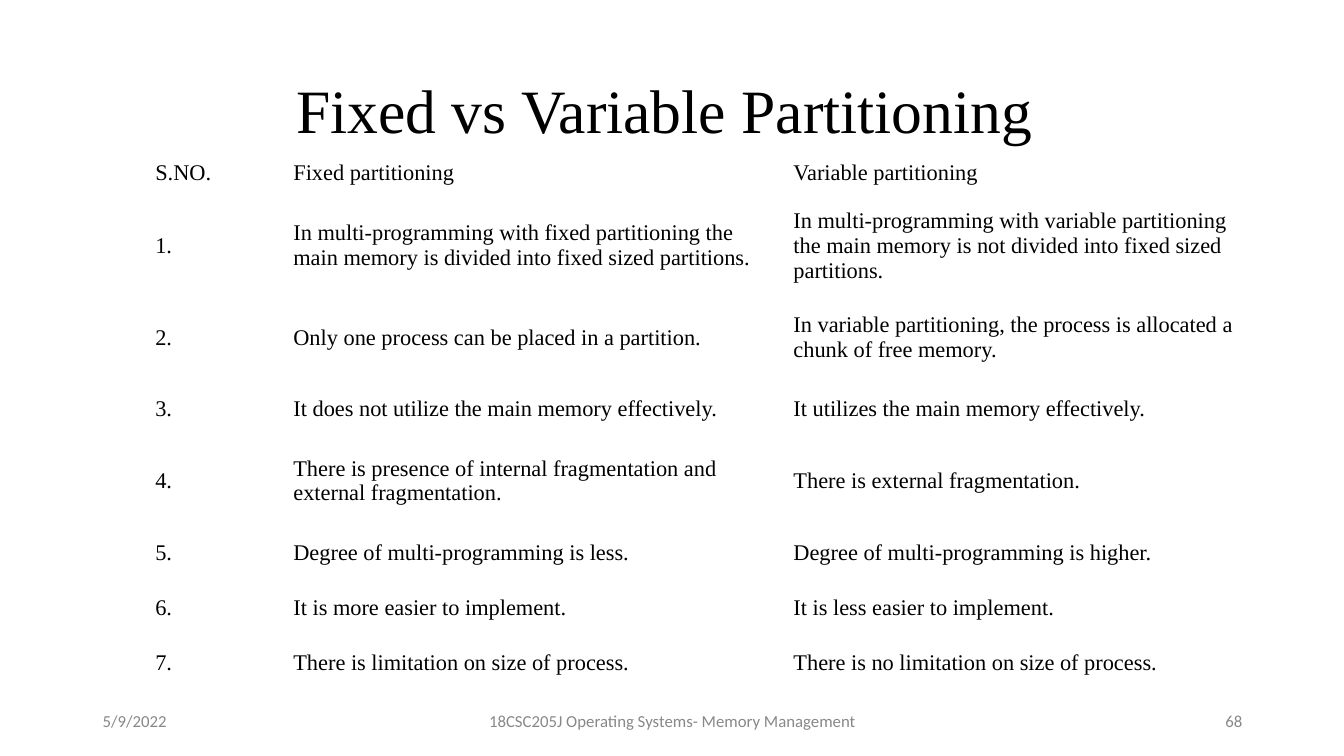
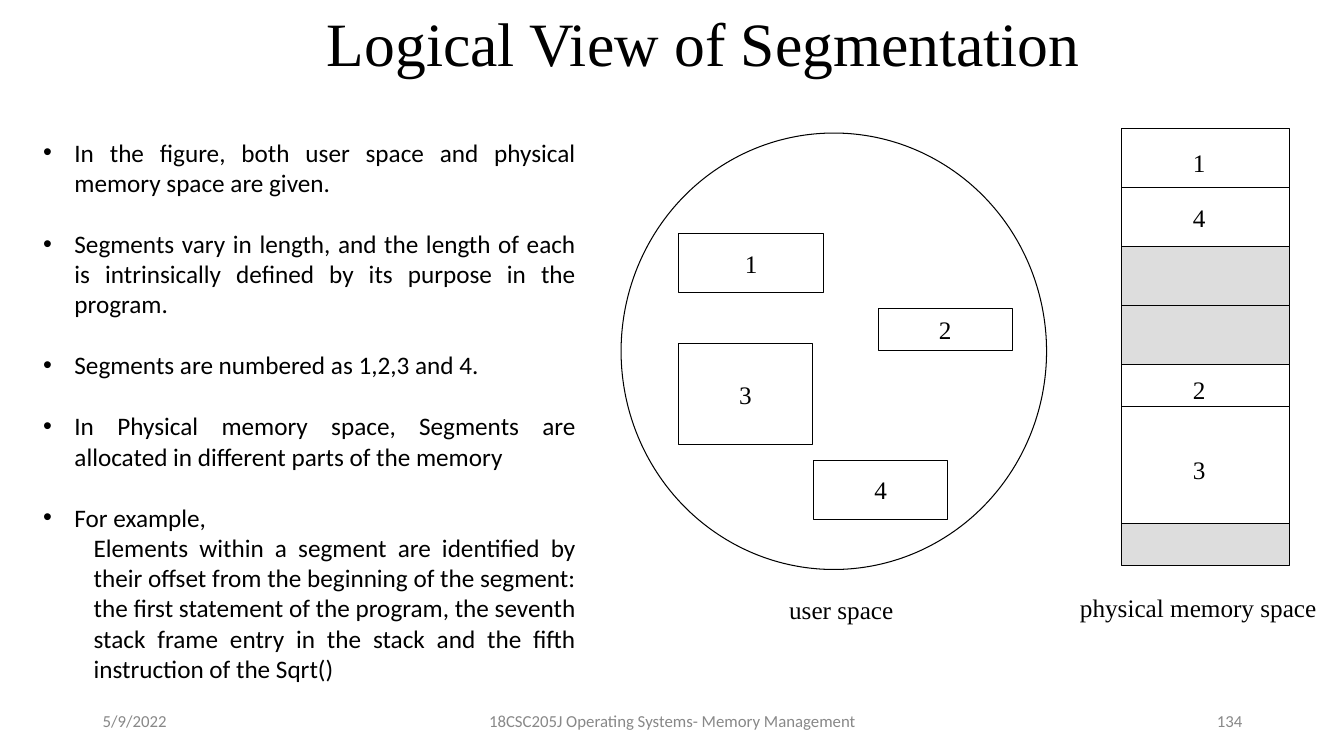
from lxml import etree
from pptx import Presentation
from pptx.dml.color import RGBColor
from pptx.enum.shapes import MSO_SHAPE
from pptx.enum.text import MSO_ANCHOR, PP_ALIGN
from pptx.oxml.ns import qn
from pptx.util import Inches, Pt

BLACK = RGBColor(0x00, 0x00, 0x00)
WHITE = RGBColor(0xFF, 0xFF, 0xFF)
FREE = RGBColor(0xDD, 0xDD, 0xDD)
GRAY = RGBColor(0x88, 0x88, 0x88)
SERIF, SANS = "Times New Roman", "Calibri"

DATE = "5/9/2022"
COURSE = "18CSC205J Operating Systems- Memory Management"
FOOTER_TOP, FOOTER_HEIGHT = 6.95, 0.4

COMPARISON = [
    ("S.NO.", "Fixed partitioning", "Variable partitioning"),
    ("1.", "In multi-programming with fixed partitioning the main memory is divided into fixed sized partitions.",
     "In multi-programming with variable partitioning the main memory is not divided into fixed sized partitions."),
    ("2.", "Only one process can be placed in a partition.",
     "In variable partitioning, the process is allocated a chunk of free memory."),
    ("3.", "It does not utilize the main memory effectively.", "It utilizes the main memory effectively."),
    ("4.", "There is presence of internal fragmentation and external fragmentation.",
     "There is external fragmentation."),
    ("5.", "Degree of multi-programming is less.", "Degree of multi-programming is higher."),
    ("6.", "It is more easier to implement.", "It is less easier to implement."),
    ("7.", "There is limitation on size of process.", "There is no limitation on size of process."),
]
COLUMN_WIDTHS = (1.37, 4.96, 4.67)
ROW_HEIGHTS = (0.36, 1, 0.81, 0.61, 0.81, 0.61, 0.47, 0.61)

BULLETS = [
    "In the figure, both user space and physical memory space are given.",
    "Segments vary in length, and the length of each is intrinsically defined by its purpose in the program.",
    "Segments are numbered as 1,2,3 and 4.",
    "In Physical memory space, Segments are allocated in different parts of the memory",
    "For example, ",
]
EXAMPLE = ("Elements within a segment are identified by their offset from the beginning of the segment: "
           "the first statement of the program, the seventh stack frame entry in the stack and the fifth "
           "instruction of the Sqrt()")

USER_SPACE = (6.16, 1.32, 4.22, 4.33)
SEGMENTS = {
    "1": (6.73, 2.32, 1.44, 0.58),
    "3": (6.73, 3.41, 1.33, 1),
    "2": (8.71, 3.06, 1.33, 0.42),
    "4": (8.07, 4.57, 1.33, 0.58),
}
MEMORY_LEFT, MEMORY_TOP, MEMORY_WIDTH = 11.12, 1.28, 1.67
MEMORY_UNIT = 1 / 12
MEMORY_BLOCKS = [("1", 7, 0.08), ("4", 7, 0), ("", 7, 0), ("", 7, 0),
                 ("2", 5, 0.08), ("3", 14, 0.08), ("", 5, 0)]
CAPTIONS = {
    "user space ": (7.72, 5.85, 1.31, 0.4),
    "physical memory space": (10.6, 5.83, 2.57, 0.4),
}


def style(p, size, name, color=BLACK, align=PP_ALIGN.LEFT):
    p.alignment = align
    for r in p.runs:
        r.font.size, r.font.name = Pt(size), name
        r.font.color.rgb = color


def add_text(s, text, box, size, name, color=BLACK, align=PP_ALIGN.CENTER, wrap=True):
    tf = s.shapes.add_textbox(*map(Inches, box)).text_frame
    tf.word_wrap = wrap
    tf.vertical_anchor = MSO_ANCHOR.MIDDLE
    tf.text = text
    style(tf.paragraphs[0], size, name, color, align)
    return tf


def add_outline(s, kind, box, fill=WHITE, label=""):
    sp = s.shapes.add_shape(kind, *map(Inches, box))
    sp.shadow.inherit = False
    sp.fill.solid()
    sp.fill.fore_color.rgb = fill
    sp.line.color.rgb = BLACK
    sp.line.width = Pt(0.75)
    tf = sp.text_frame
    tf.vertical_anchor = MSO_ANCHOR.MIDDLE
    if label:
        tf.text = label
        style(tf.paragraphs[0], 18, SERIF, align=PP_ALIGN.CENTER)
    return tf


def add_slide(prs, title, title_box, number):
    s = prs.slides.add_slide(prs.slide_layouts[6])
    add_text(s, title, title_box, 44, SERIF).paragraphs[0].line_spacing = 0.9
    for text, left, width, align in ((DATE, 0.92, 3, PP_ALIGN.LEFT),
                                     (COURSE, 4.42, 4.5, PP_ALIGN.CENTER),
                                     (number, 9.42, 3, PP_ALIGN.RIGHT)):
        add_text(s, text, (left, FOOTER_TOP, width, FOOTER_HEIGHT), 12, SANS, GRAY, align)
    return s


def add_comparison(s):
    box = (1.44, 1.5, sum(COLUMN_WIDTHS), sum(ROW_HEIGHTS))
    table = s.shapes.add_table(len(COMPARISON), len(COLUMN_WIDTHS), *map(Inches, box)).table
    table.first_row = table.horz_banding = False
    for column, width in zip(table.columns, COLUMN_WIDTHS):
        column.width = Inches(width)
    for i, (row, height, texts) in enumerate(zip(table.rows, ROW_HEIGHTS, COMPARISON)):
        row.height = Inches(height)
        for cell, text in zip(row.cells, texts):
            cell.fill.solid()
            cell.fill.fore_color.rgb = WHITE
            cell.vertical_anchor = MSO_ANCHOR.MIDDLE
            cell.margin_top = cell.margin_bottom = Inches(0.11 if i else 0.08)
            cell.text = text
            style(cell.text_frame.paragraphs[0], 16, SERIF)


def indent(p, left, first, bullet=None):
    pPr = p._p.get_or_add_pPr()
    pPr.set("marL", str(Inches(left)))
    pPr.set("indent", str(Inches(first)))
    if bullet:
        etree.SubElement(pPr, qn("a:buFont")).set("typeface", "Arial")
        etree.SubElement(pPr, qn("a:buChar")).set("char", bullet)


def add_bullets(s):
    tf = s.shapes.add_textbox(*map(Inches, (0.33, 1.31, 5.48, 5.56))).text_frame
    tf.word_wrap = True
    for i, text in enumerate(BULLETS + [EXAMPLE]):
        p = tf.add_paragraph() if i else tf.paragraphs[0]
        p.text = text
        if text == EXAMPLE:
            p.level = 1
            indent(p, 0.5, 0)
        else:
            indent(p, 0.31, -0.31, "•")
            if i:
                p.space_before = Pt(22)
        style(p, 18, SANS, align=PP_ALIGN.JUSTIFY)


def add_memory(s):
    top = MEMORY_TOP
    for label, units, drop in MEMORY_BLOCKS:
        height = units * MEMORY_UNIT
        tf = add_outline(s, MSO_SHAPE.RECTANGLE, (MEMORY_LEFT, top, MEMORY_WIDTH, height),
                         WHITE if label else FREE, label)
        tf.margin_top, tf.margin_bottom = Inches(drop), 0
        tf.margin_right = Inches(0.22)
        top += height


def main():
    prs = Presentation()
    prs.slide_width, prs.slide_height = Inches(13.33), Inches(7.5)

    s = add_slide(prs, "Fixed vs Variable Partitioning ", (0.92, 0.4, 11.5, 1.45), "68")
    add_comparison(s)

    s = add_slide(prs, "Logical View of Segmentation", (1.29, 0.15, 11.38, 0.63), "134")
    add_outline(s, MSO_SHAPE.OVAL, USER_SPACE)
    for label, box in SEGMENTS.items():
        add_outline(s, MSO_SHAPE.RECTANGLE, box, label=label)
    add_memory(s)
    for text, box in CAPTIONS.items():
        add_text(s, text, box, 18, SERIF, wrap=False)
    add_bullets(s)

    prs.save("out.pptx")


if __name__ == "__main__":
    main()
